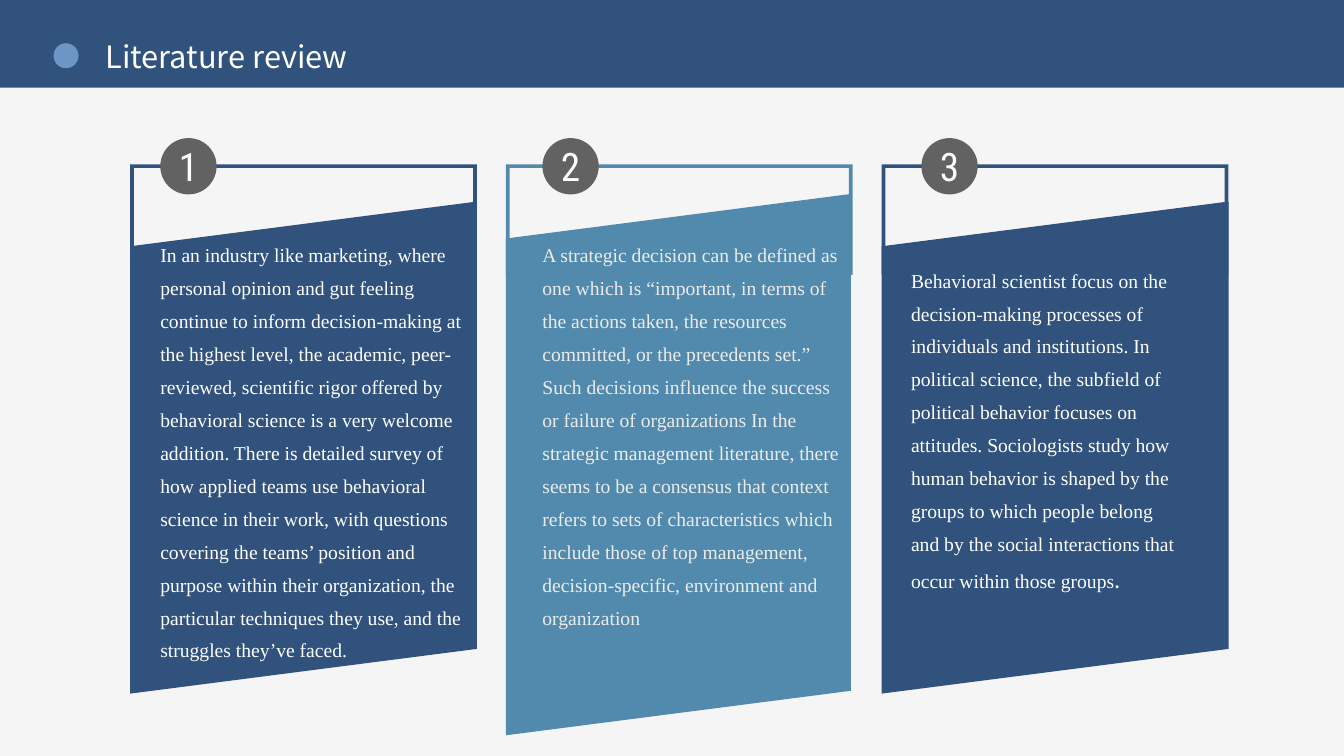
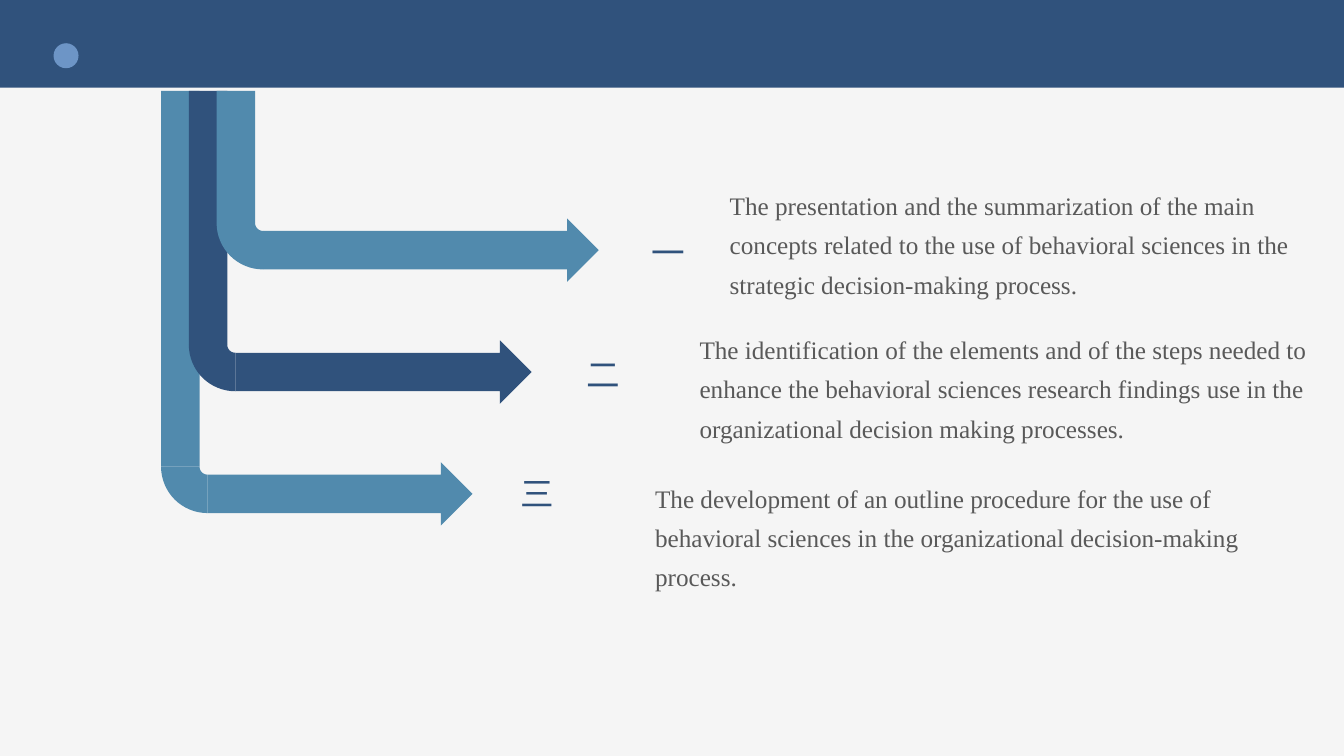
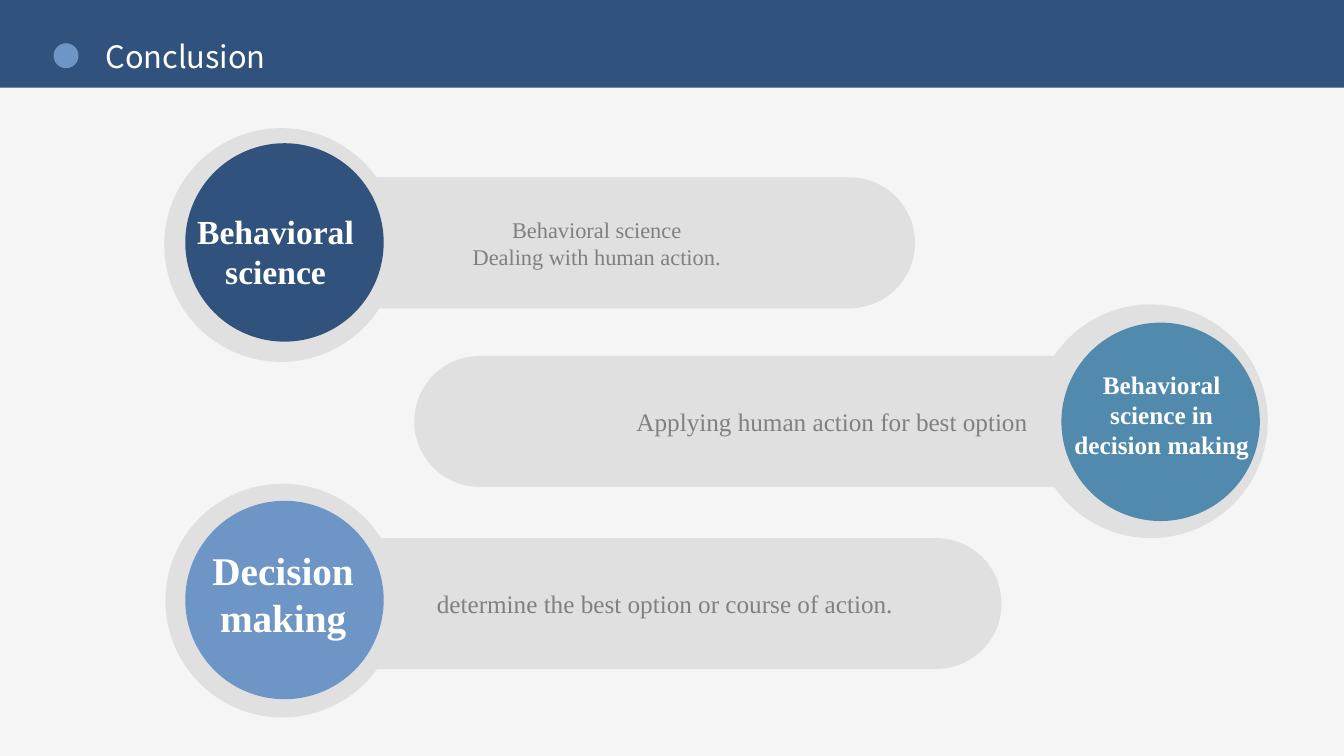
"""Build three slides on behavioral science in strategic decision-making."""

import math
from dataclasses import dataclass

import pptx
import pptx.dml.color
import pptx.enum.shapes
import pptx.enum.text
import pptx.oxml.ns
import pptx.oxml.xmlchemy
import pptx.shapes.autoshape
import pptx.slide
import pptx.text.text
import pptx.util
from pptx.util import Cm

PRESET = pptx.enum.shapes.MSO_SHAPE
ALIGN = pptx.enum.text.PP_ALIGN
ANCHOR = pptx.enum.text.MSO_ANCHOR


@dataclass(frozen=True)
class Theme:
    navy: str = "30527C"
    teal: str = "518AAD"
    sky: str = "6D95C6"
    paper: str = "F5F5F5"
    silver: str = "E0E0E0"
    mist: str = "ECECEC"
    badge: str = "626262"
    ink: str = "595959"
    grey: str = "808080"
    white: str = "FFFFFF"
    sans: str = "Noto Sans CJK SC"
    condensed: str = "Roboto Condensed"
    serif: str = "Times New Roman"
    title: int = 22
    body: int = 14
    period: int = 16
    caption: int = 18
    numeral: int = 24
    digit: int = 28


THEME = Theme()


@dataclass(frozen=True)
class Box:
    left: float
    top: float
    width: float
    height: float


@dataclass(frozen=True)
class Style:
    size: int
    color: str
    font: str = THEME.serif
    bold: bool = False
    align: ALIGN = ALIGN.LEFT
    spacing: float = 1.0


@dataclass(frozen=True)
class Review:
    color: str
    ink: str
    panel_top: float
    panel_width: float
    panel_height: float
    badge_left: float
    body: Box
    text: str


@dataclass(frozen=True)
class Route:
    color: str
    length: float
    numeral: str
    numeral_at: tuple[float, float]
    aim: Box
    text: str


@dataclass(frozen=True)
class Finding:
    color: str
    bar: Box
    halo: tuple[float, float]
    core: tuple[float, float]
    label_box: Box
    label: str
    label_size: int
    text: str
    text_size: int
    indent: float


REVIEWS = [
    Review(THEME.navy, THEME.white, 5.08, 8.74, 12.4, 4.04, Box(4.04, 5.89, 7.75, 10.8),
           "In an industry like marketing, where personal opinion and gut feeling continue to "
           "inform decision-making at the highest level, the academic, peer-reviewed, scientific "
           "rigor offered by behavioral science is a very welcome addition. There is detailed "
           "survey of how applied teams use behavioral science in their work, with questions "
           "covering the teams’ position and purpose within their organization, the particular "
           "techniques they use, and the struggles they’ve faced."),
    Review(THEME.teal, THEME.mist, 4.89, 8.69, 13.64, 13.67, Box(13.67, 5.89, 7.77, 11.73),
           "A strategic decision can be defined as one which is “important, in terms of the "
           "actions taken, the resources committed, or the precedents set.” Such decisions "
           "influence the success or failure of organizations In the strategic management "
           "literature, there seems to be a consensus that context refers to sets of "
           "characteristics which include those of top management, decision-specific, "
           "environment and organization"),
    Review(THEME.navy, THEME.white, 5.08, 8.74, 12.4, 23.22, Box(22.96, 6.53, 6.81, 8.38),
           "Behavioral scientist focus on the decision-making processes of individuals and "
           "institutions. In political science, the subfield of political behavior focuses on "
           "attitudes. Sociologists study how human behavior is shaped by the groups to which "
           "people belong and by the social interactions that occur within those groups"),
]

ROUTES = [
    Route(THEME.teal, 8.46, "一", (15.27, 5.85), Box(18.39, 4.57, 14.1, 2.9),
          "The presentation and the summarization of the main concepts related to the use of "
          "behavioral sciences in the strategic decision-making process."),
    Route(THEME.navy, 7.47, "二", (13.64, 8.92), Box(17.63, 8.2, 15.65, 2.9),
          "The identification of the elements and of the steps needed to enhance the behavioral "
          "sciences research findings use in the organizational decision making processes."),
    Route(THEME.teal, 6.68, "三", (11.99, 11.92), Box(16.51, 11.94, 15.11, 2.9),
          "The development of an outline procedure for the use of behavioral sciences in the "
          "organizational decision-making process."),
]

FINDINGS = [
    Finding(THEME.navy, Box(4.62, 4.47, 18.44, 3.3), (4.14, 3.23), (4.67, 3.61),
            Box(4.62, 5.31, 4.65, 2.05), "Behavioral science", 24,
            "Behavioral science\nDealing with human action.", 16, 2.4),
    Finding(THEME.teal, Box(10.44, 8.97, 21.06, 3.3), (26.06, 7.67), (26.75, 8.13),
            Box(27.05, 9.3, 4.45, 3.07), "Behavioral science in decision making", 18,
            "Applying human action for best option", 18, 0),
    Finding(THEME.sky, Box(4.62, 13.56, 20.62, 3.3), (4.17, 12.19), (4.67, 12.62),
            Box(4.95, 13.77, 4.37, 2.38), "Decision making", 28,
            "determine the best option or course of action.", 18, 3.66),
]


def rgb(color: str) -> pptx.dml.color.RGBColor:
    return pptx.dml.color.RGBColor.from_string(color)


def format_run(run: pptx.text.text._Run, style: Style) -> None:
    run.font.size = pptx.util.Pt(style.size)
    run.font.name = style.font
    run.font.bold = style.bold
    run.font.color.rgb = rgb(style.color)
    latin = run.font._element.find(pptx.oxml.ns.qn("a:latin"))
    east_asian = pptx.oxml.xmlchemy.OxmlElement("a:ea")
    east_asian.set("typeface", style.font)
    latin.addnext(east_asian)


def write(frame: pptx.text.text.TextFrame, text: str, style: Style,
          wrap: bool = True, indent: float = 0) -> None:
    frame.text = text
    frame.word_wrap = wrap
    frame.margin_left = Cm(indent)
    frame.margin_right = frame.margin_top = frame.margin_bottom = 0
    for paragraph in frame.paragraphs:
        paragraph.alignment = style.align
        paragraph.line_spacing = style.spacing
        for run in paragraph.runs:
            format_run(run, style)


def add_text(slide: pptx.slide.Slide, box: Box, text: str,
             style: Style) -> pptx.text.text.TextFrame:
    frame = slide.shapes.add_textbox(
        Cm(box.left), Cm(box.top), Cm(box.width), Cm(box.height)).text_frame
    write(frame, text, style)
    return frame


def paint(shape: pptx.shapes.autoshape.Shape, color: str) -> None:
    shape.shadow.inherit = False
    shape.fill.solid()
    shape.fill.fore_color.rgb = rgb(color)
    shape.line.fill.background()


def add_preset(slide: pptx.slide.Slide, preset: PRESET, box: Box, color: str,
               *adjustments: float) -> pptx.shapes.autoshape.Shape:
    shape = slide.shapes.add_shape(
        preset, Cm(box.left), Cm(box.top), Cm(box.width), Cm(box.height))
    paint(shape, color)
    for index, value in enumerate(adjustments):
        shape.adjustments[index] = value
    return shape


def add_circle(slide: pptx.slide.Slide, corner: tuple[float, float], diameter: float,
               color: str) -> pptx.shapes.autoshape.Shape:
    return add_preset(slide, PRESET.OVAL, Box(*corner, diameter, diameter), color)


def add_slide(deck: pptx.presentation.Presentation, title: str = "") -> pptx.slide.Slide:
    slide = deck.slides.add_slide(deck.slide_layouts[6])
    add_preset(slide, PRESET.RECTANGLE, Box(0, 0, 33.87, 2.21), THEME.navy)
    add_circle(slide, (1.35, 1.09), 0.63, THEME.sky)
    if title:
        heading = Style(THEME.title, THEME.white, THEME.sans, spacing=0.9)
        frame = add_text(slide, Box(2.36, 0.94, 10.13, 1.07), title, heading)
        frame.margin_left = Cm(0.3)
        frame.vertical_anchor = ANCHOR.MIDDLE
    return slide


def add_slanted_panel(slide: pptx.slide.Slide, box: Box, color: str) -> None:
    shift = (box.height - box.width) / 2
    unturned = Box(box.left - shift, box.top + shift, box.height, box.width)
    panel = add_preset(slide, PRESET.PARALLELOGRAM, unturned, color, 0.129)
    panel.rotation = 270
    panel.element.spPr.find(pptx.oxml.ns.qn("a:xfrm")).set("flipV", "1")


def add_review(slide: pptx.slide.Slide, index: int, review: Review) -> None:
    left = 3.28 + 9.47 * index
    add_preset(slide, PRESET.FRAME, Box(left, 4.14, 8.74, 2.79), review.color, 0.034)
    add_slanted_panel(slide, Box(left, review.panel_top, review.panel_width,
                                 review.panel_height), review.color)
    badge = add_circle(slide, (review.badge_left, 3.48), 1.42, THEME.badge)
    digit = Style(THEME.digit, THEME.white, THEME.condensed, align=ALIGN.CENTER)
    write(badge.text_frame, str(index + 1), digit, wrap=False)
    badge.text_frame.vertical_anchor = ANCHOR.MIDDLE
    body = add_text(slide, review.body, review.text,
                    Style(THEME.body, review.ink, spacing=1.4))
    if review is REVIEWS[-1]:
        period = body.paragraphs[0].add_run()
        period.text = "."
        format_run(period, Style(THEME.period, review.ink, THEME.sans))


def add_bend(slide: pptx.slide.Slide, left: float, top: float, radius: float,
             thickness: float, color: str) -> None:
    steps = 16
    angles = [math.pi / 2 * step / steps for step in range(steps + 1)]
    turns = [(radius, angle) for angle in angles]
    turns += [(radius - thickness, angle) for angle in reversed(angles)]
    points = [(Cm(left + radius - reach * math.cos(angle)),
               Cm(top + reach * math.sin(angle))) for reach, angle in turns]
    builder = slide.shapes.build_freeform(*points[0])
    builder.add_line_segments(points[1:])
    paint(builder.convert_to_shape(), color)


def add_route(slide: pptx.slide.Slide, index: int, route: Route) -> None:
    stem_top, thickness, radius, head = 2.29, 0.97, 1.17, 1.6
    left = 5.46 - 0.7 * index
    bend_top = 5.62 + 3.07 * index
    arrow_top = bend_top + radius - (thickness + head) / 2
    add_preset(slide, PRESET.RECTANGLE,
               Box(left, stem_top, thickness, bend_top - stem_top), route.color)
    add_bend(slide, left, bend_top, radius, thickness, route.color)
    add_preset(slide, PRESET.RIGHT_ARROW, Box(left + radius, arrow_top, route.length, head),
               route.color, thickness / head, 0.5)
    add_text(slide, Box(*route.numeral_at, 3.12, 1.02), route.numeral,
             Style(THEME.numeral, THEME.navy, THEME.sans, align=ALIGN.CENTER))
    add_text(slide, route.aim, route.text, Style(THEME.caption, THEME.ink, spacing=1.3))


def add_finding(slide: pptx.slide.Slide, finding: Finding) -> None:
    bar = add_preset(slide, PRESET.ROUNDED_RECTANGLE, finding.bar, THEME.silver, 0.5)
    write(bar.text_frame, finding.text,
          Style(finding.text_size, THEME.grey, align=ALIGN.CENTER), indent=finding.indent)
    bar.text_frame.vertical_anchor = ANCHOR.MIDDLE
    add_circle(slide, finding.halo, 5.89, THEME.silver)
    add_circle(slide, finding.core, 5, finding.color)
    add_text(slide, finding.label_box, finding.label,
             Style(finding.label_size, THEME.white, bold=True, align=ALIGN.CENTER))


def main() -> None:
    deck = pptx.Presentation()
    deck.slide_width, deck.slide_height = Cm(33.87), Cm(19.05)
    backdrop = deck.slide_master.background.fill
    backdrop.solid()
    backdrop.fore_color.rgb = rgb(THEME.paper)

    literature = add_slide(deck, "Literature review")
    for index, review in enumerate(REVIEWS):
        add_review(literature, index, review)

    aims = add_slide(deck)
    for index, route in reversed(list(enumerate(ROUTES))):
        add_route(aims, index, route)

    conclusion = add_slide(deck, "Conclusion")
    for finding in FINDINGS:
        add_finding(conclusion, finding)

    deck.save("out.pptx")


if __name__ == "__main__":
    main()
